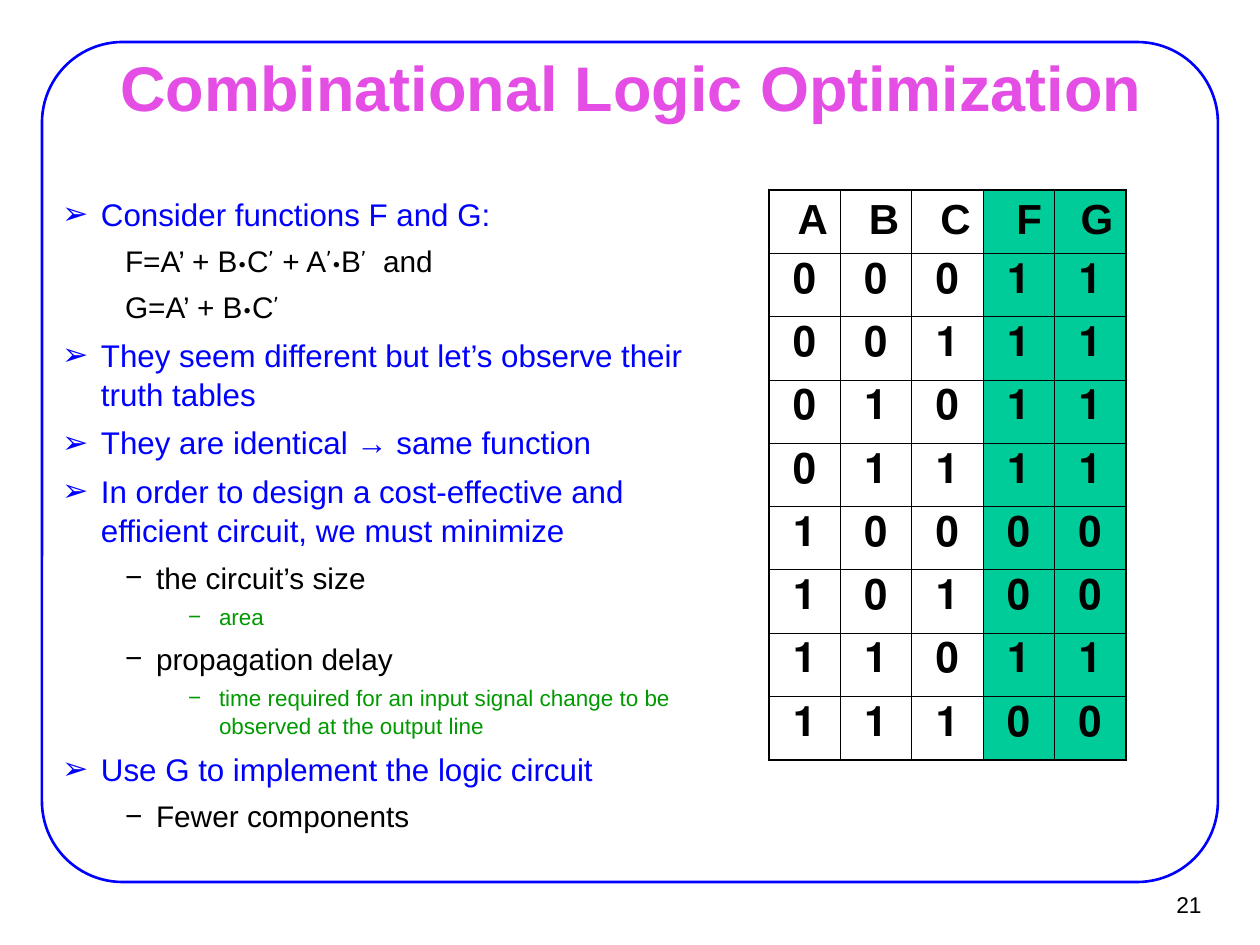
from pptx import Presentation
from pptx import util as u
from pptx.dml import color
from pptx.enum import shapes, text
from pptx.oxml import ns, xmlchemy

SCALE = 914400 // 126
BLUE, BLACK, GREEN, PINK, TEAL = "0000FF", "000000", "009900", "E44EE4", "00CC99"
LEVELS = {
    1: dict(size=17.9, color=BLUE, left=102, hang=39, before=5.2),
    2: dict(size=17, color=BLACK, left=157, hang=31, before=5),
    3: dict(size=12.8, color=GREEN, left=220, hang=31, before=3.7),
}
OUTLINE = [
    (1, "➢", "Consider functions F and G:"),
    (2, None, "F=A’ + B|•|C|’| + A|’•|B|’|  and"),
    (2, None, "G=A’ + B|•|C|’"),
    (1, "➢", "They seem different but let’s observe their truth tables"),
    (1, "➢", "They are identical → same function"),
    (1, "➢", "In order to design a cost-effective and efficient circuit, we must minimize"),
    (2, "−", "the circuit’s size"),
    (3, "−", "area"),
    (2, "−", "propagation delay"),
    (3, "−", "time required for an input signal change to be observed at the output line"),
    (1, "➢", "Use G to implement the logic circuit"),
    (2, "−", "Fewer components"),
]
TRUTH = ["ABCFG", "00011", "00111", "01011", "01111", "10000", "10100", "11011", "11100"]


def px(length):
    """Turn pixels into EMU."""
    return u.Emu(round(length * SCALE))


def rgb(value):
    """Turn a hex string into a colour."""
    return color.RGBColor.from_string(value)


def place(shape, box):
    """Move a shape to a box of left, top, width and height."""
    shape.left, shape.top, shape.width, shape.height = map(px, box)


def style(span, size, value, bold=False, font="Arial"):
    """Format one run."""
    span.font.size, span.font.bold, span.font.name = u.Pt(size), bold, font
    span.font.color.rgb = rgb(value)


def add_element(parent, tag, **attributes):
    """Append a DrawingML element to a parent."""
    child = xmlchemy.OxmlElement(tag)
    for key, value in attributes.items():
        child.set(key, str(value))
    parent.append(child)
    return child


def set_margins(frame):
    """Give a text frame its insets."""
    frame.margin_left = frame.margin_right = px(14)
    frame.margin_top = frame.margin_bottom = px(7)
    frame.word_wrap, frame.auto_size = True, text.MSO_AUTO_SIZE.NONE


def add_frame(page, box):
    """Draw the rounded border behind everything."""
    border = page.shapes.add_shape(shapes.MSO_SHAPE.ROUNDED_RECTANGLE, *map(px, box))
    border.adjustments[0] = 0.096
    border.shadow.inherit = False
    border.fill.background()
    border.line.color.rgb, border.line.width = rgb(BLUE), u.Pt(1.5)
    page.shapes._spTree.insert(2, border._element)


def add_title(page, box, words):
    """Fill the title placeholder."""
    title = page.shapes.title
    place(title, box)
    set_margins(title.text_frame)
    title.text_frame.vertical_anchor = text.MSO_ANCHOR.MIDDLE
    title.text_frame.text = words
    para = title.text_frame.paragraphs[0]
    para.alignment = text.PP_ALIGN.CENTER
    style(para.runs[0], 36, PINK, bold=True)


def add_outline(page, box):
    """Fill the body placeholder with the bulleted outline."""
    body = page.placeholders[1]
    place(body, box)
    frame = body.text_frame
    set_margins(frame)
    frame.vertical_anchor = text.MSO_ANCHOR.TOP
    for index, (level, bullet, words) in enumerate(OUTLINE):
        look = LEVELS[level]
        para = frame.paragraphs[0] if index == 0 else frame.add_paragraph()
        para.level = level
        para.alignment = text.PP_ALIGN.LEFT
        para.space_before, para.line_spacing = u.Pt(look["before"]), 1.05
        properties = para._p.get_or_add_pPr()
        properties.set("marL", str(px(look["left"])))
        properties.set("indent", str(-px(look["hang"])))
        if bullet:
            tint = add_element(properties, "a:buClr")
            add_element(tint, "a:srgbClr", val=look["color"])
            add_element(properties, "a:buFont", typeface="Arial")
            add_element(properties, "a:buChar", char=bullet)
        else:
            add_element(properties, "a:buNone")
        for part, piece in enumerate(words.split("|")):
            span = para.add_run()
            span.text = piece
            style(span, look["size"], look["color"], font="Comic Neue" if part % 2 else "Arial")


def set_borders(cell, thick):
    """Line a cell, with heavier lines on the sides that are thick."""
    properties = cell._tc.get_or_add_tcPr()
    for index, side in enumerate("LRTB"):
        width = u.Pt(1.08 if side in thick else 0.45)
        line = xmlchemy.OxmlElement(f"a:ln{side}")
        line.set("w", str(width))
        fill = add_element(line, "a:solidFill")
        add_element(fill, "a:srgbClr", val=BLACK)
        properties.insert(index, line)


def add_truth_table(page, box):
    """Build the truth table with its two result columns shaded."""
    rows, columns = len(TRUTH), len(TRUTH[0])
    table = page.shapes.add_table(rows, columns, *map(px, box)).table
    table.first_row = table.horz_banding = False
    for column in table.columns:
        column.width = px(box[2] / columns)
    for r, values in enumerate(TRUTH):
        table.rows[r].height = px(box[3] / rows)
        for c, value in enumerate(values):
            cell = table.cell(r, c)
            if c >= 3:
                cell.fill.solid()
                cell.fill.fore_color.rgb = rgb(TEAL)
            else:
                cell.fill.background()
            edges = {"L": c == 0, "R": c == columns - 1, "T": r == 0, "B": r == rows - 1}
            set_borders(cell, [side for side, outer in edges.items() if outer])
            cell.text_frame.text = value if r == 0 else f" {value}"
            para = cell.text_frame.paragraphs[0]
            para.alignment, para.space_before = text.PP_ALIGN.RIGHT, u.Pt(6)
            para._p.get_or_add_pPr().set("rtl", "1")
            style(para.runs[0], 24, BLACK, bold=True)


def add_page_number(page, box, number):
    """Write the page number at the lower right."""
    label = page.shapes.add_textbox(*map(px, box))
    frame = label.text_frame
    frame.word_wrap, frame.vertical_anchor = False, text.MSO_ANCHOR.MIDDLE
    frame.text = number
    para = frame.paragraphs[0]
    para.alignment = text.PP_ALIGN.RIGHT
    style(para.runs[0], 13, BLACK)


def build():
    """Build and save the deck."""
    deck = Presentation()
    deck.slide_width, deck.slide_height = px(1260), px(945)
    page = deck.slides.add_slide(deck.slide_layouts[1])
    add_frame(page, (42, 42, 1176, 840))
    add_title(page, (96, 55, 1071, 62), "Combinational Logic Optimization")
    add_outline(page, (-15, 186, 753, 624))
    add_truth_table(page, (769, 190, 357, 570))
    add_page_number(page, (1137, 881, 77, 47), "21")
    deck.save("out.pptx")


build()
